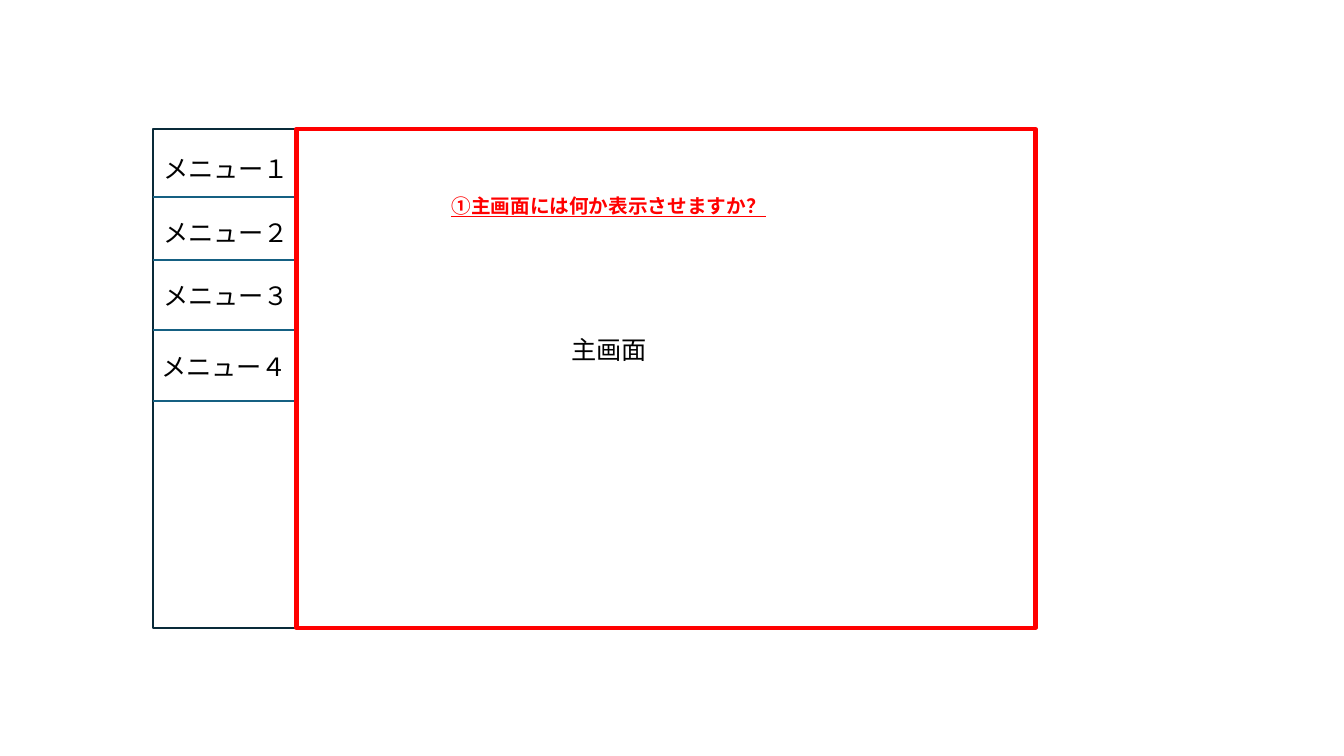
from lxml import etree
from pptx import Presentation
from pptx.dml.color import RGBColor
from pptx.enum.shapes import MSO_CONNECTOR, MSO_SHAPE
from pptx.enum.text import MSO_AUTO_SIZE
from pptx.oxml.ns import qn
from pptx.util import Inches, Pt

RECT = MSO_SHAPE.RECTANGLE
LINE = MSO_CONNECTOR.STRAIGHT
GROW = MSO_AUTO_SIZE.SHAPE_TO_FIT_TEXT
FONT = "Noto Sans CJK JP"
COLORS = {"white": "FFFFFF", "black": "000000", "red": "FF0000",
          "frame": "092A39", "rule": "156082"}

LEFT, TOP, WIDE, HIGH = 1.52, 1.28, 8.75, 4.95
SPLIT = 2.94
MENU = [
    ("メニュー１", 1.52, 1.47, 1.95),
    ("メニュー２", 1.52, 2.11, 2.58),
    ("メニュー３", 1.52, 2.73, 3.27),
    ("メニュー４", 1.5, 3.44, 3.98),
]
MAIN = ("主画面", 5.57, 3.27, 0.96, 0.4)
QUERY = ("➀主画面には何か表示させますか？", 4.38, 1.87, 3.34, 0.34)


def rgb(name):
    return RGBColor.from_string(COLORS[name])


def add_box(x, wide, color, weight, fill=None):
    box = slide.shapes.add_shape(RECT, Inches(x), Inches(TOP), Inches(wide), Inches(HIGH))
    box.shadow.inherit = False
    if fill:
        box.fill.solid()
        box.fill.fore_color.rgb = rgb(fill)
    else:
        box.fill.background()
    box.line.color.rgb = rgb(color)
    box.line.width = Pt(weight)


def add_rule(x1, y1, x2, y2):
    rule = slide.shapes.add_connector(LINE, Inches(x1), Inches(y1), Inches(x2), Inches(y2))
    rule.line.color.rgb = rgb("rule")
    rule.line.width = Pt(1.5)
    etree.SubElement(rule._element.spPr, qn("a:effectLst"))


def add_label(text, x, y, wide, high, size=18, color="black", strong=False):
    box = slide.shapes.add_textbox(Inches(x), Inches(y), Inches(wide), Inches(high))
    frame = box.text_frame
    frame.text = text
    frame.word_wrap = False
    frame.auto_size = GROW
    run = frame.paragraphs[0].runs[0]
    font = run.font
    font.size = Pt(size)
    font.color.rgb = rgb(color)
    font.name = FONT
    if strong:
        font.bold = True
        font.underline = True
    etree.SubElement(run._r.get_or_add_rPr(), qn("a:ea"), typeface=FONT)


deck = Presentation()
deck.slide_width = Inches(13.33)
deck.slide_height = Inches(7.5)
slide = deck.slides.add_slide(deck.slide_layouts[6])

add_box(LEFT, WIDE, "frame", 1.5, "white")
add_rule(SPLIT, TOP, SPLIT, TOP + HIGH)
for text, x, y, base in MENU:
    add_rule(LEFT, base, SPLIT, base)
    add_label(text, x, y, 1.46, 0.4)
add_label(*MAIN)
add_box(SPLIT, LEFT + WIDE - SPLIT, "red", 3)
add_label(*QUERY, size=14, color="red", strong=True)

deck.save("out.pptx")
